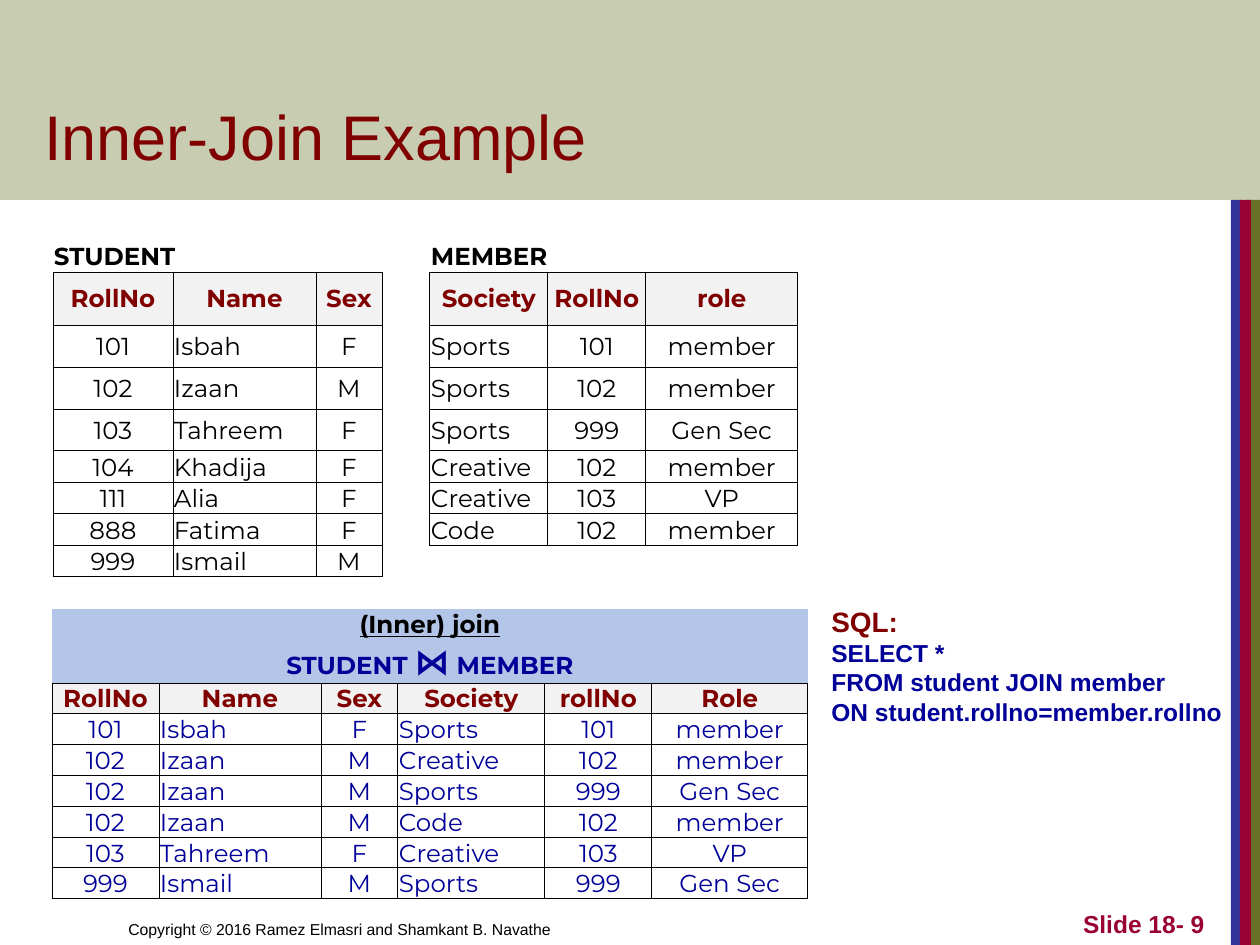
"""Build the inner-join example slide with its source and result tables."""
from lxml import etree
from pptx import Presentation
from pptx.dml.color import RGBColor
from pptx.enum.shapes import MSO_SHAPE
from pptx.enum.text import MSO_ANCHOR, PP_ALIGN
from pptx.oxml.ns import qn
from pptx.util import Emu, Pt

RECT = MSO_SHAPE.RECTANGLE
TOP, MIDDLE, BOTTOM = MSO_ANCHOR.TOP, MSO_ANCHOR.MIDDLE, MSO_ANCHOR.BOTTOM
LEFT, CENTER, RIGHT = PP_ALIGN.LEFT, PP_ALIGN.CENTER, PP_ALIGN.RIGHT

BLACK = RGBColor(0x00, 0x00, 0x00)
MAROON = RGBColor(0x80, 0x00, 0x00)
CRIMSON = RGBColor(0x99, 0x00, 0x33)
NAVY = RGBColor(0x00, 0x00, 0x99)
INDIGO = RGBColor(0x33, 0x33, 0x99)
OLIVE = RGBColor(0x67, 0x72, 0x28)
GREY = RGBColor(0xF2, 0xF2, 0xF2)
SKY = RGBColor(0xB4, 0xC6, 0xE7)

EMU_PER_PX = 914400 / 126
NO_GRID = "{2D5ABB26-0587-4C30-8999-92F81FD0307C}"
ALL_SIDES = "LRTB"

STUDENT = [
    ("RollNo", "Name", "Sex"),
    ("101", "Isbah", "F"),
    ("102", "Izaan", "M"),
    ("103", "Tahreem", "F"),
    ("104", "Khadija", "F"),
    ("111", "Alia", "F"),
    ("888", "Fatima", "F"),
    ("999", "Ismail", "M"),
]
MEMBER = [
    ("Society", "RollNo", "role"),
    ("Sports", "101", "member"),
    ("Sports", "102", "member"),
    ("Sports", "999", "Gen Sec"),
    ("Creative", "102", "member"),
    ("Creative", "103", "VP"),
    ("Code", "102", "member"),
]
JOINED = [
    ("RollNo", "Name", "Sex", "Society", "rollNo", "Role"),
    ("101", "Isbah", "F", "Sports", "101", "member"),
    ("102", "Izaan", "M", "Creative", "102", "member"),
    ("102", "Izaan", "M", "Sports", "999", "Gen Sec"),
    ("102", "Izaan", "M", "Code", "102", "member"),
    ("103", "Tahreem", "F", "Creative", "103", "VP"),
    ("999", "Ismail", "M", "Sports", "999", "Gen Sec"),
]


def px(n):
    return Emu(round(n * EMU_PER_PX))


class Deck:
    """Holds the style and the current slide."""

    font, table_font, table_size = "Arial", "Montserrat", 14

    def __init__(self, prs):
        self.s = prs.slides.add_slide(prs.slide_layouts[6])

    def run(self, p, text, size, color, bold=False, underline=False, font=None):
        r = p.add_run()
        r.text = text
        f = r.font
        f.name, f.size, f.bold = font or self.font, Pt(size), bold
        f.underline = underline
        f.color.rgb = color

    def bar(self, x, y, w, h, color, alpha=None):
        sp = self.s.shapes.add_shape(RECT, px(x), px(y), px(w), px(h))
        sp.shadow.inherit = False
        sp.line.fill.background()
        sp.fill.solid()
        sp.fill.fore_color.rgb = color
        if alpha:
            clr = sp.fill._xPr.find(qn("a:solidFill"))[0]
            etree.SubElement(clr, qn("a:alpha"), val=str(alpha * 1000))

    def text(self, x, y, w, h, lines, anchor=BOTTOM, align=LEFT):
        tf = self.s.shapes.add_textbox(px(x), px(y), px(w), px(h)).text_frame
        tf.word_wrap = True
        tf.vertical_anchor = anchor
        for i, line in enumerate(lines):
            p = tf.add_paragraph() if i else tf.paragraphs[0]
            p.alignment = align
            self.run(p, *line)

    def table(self, x, y, cols, rows):
        frame = self.s.shapes.add_table(len(rows), len(cols), px(x), px(y),
                                        px(sum(cols)), px(sum(rows)))
        table = frame.table
        table.first_row = table.horz_banding = False
        frame._element.find(".//" + qn("a:tableStyleId")).text = NO_GRID
        for col, w in zip(table.columns, cols):
            col.width = px(w)
        for row, h in zip(table.rows, rows):
            row.height = px(h)
        for cell in table.iter_cells():
            cell.margin_left = cell.margin_right = cell.margin_top = px(1)
            cell.margin_bottom = 0
            cell.fill.background()
            etree.SubElement(cell.text_frame.paragraphs[0]._p, qn("a:endParaRPr"),
                             sz=str(self.table_size * 100))
        return table

    def border(self, cell, sides):
        tcPr = cell._tc.get_or_add_tcPr()
        for i, side in enumerate(sides):
            ln = etree.Element(qn("a:ln" + side), w=str(Pt(0.5)))
            fill = etree.SubElement(ln, qn("a:solidFill"))
            etree.SubElement(fill, qn("a:srgbClr"), val=str(BLACK))
            tcPr.insert(i, ln)

    def cell(self, cell, runs, align=CENTER, anchor=MIDDLE, fill=None, sides=ALL_SIDES):
        cell.vertical_anchor = anchor
        p = cell.text_frame.paragraphs[0]
        p.alignment = align
        for text, color, *style in runs:
            size, bold, underline = style or (self.table_size, False, False)
            self.run(p, text, size, color, bold, underline, self.table_font)
        if fill:
            cell.fill.solid()
            cell.fill.fore_color.rgb = fill
        self.border(cell, sides)

    def banner(self, table, row, first, last, runs, align, fill=None, sides="B"):
        table.cell(row, first).merge(table.cell(row, last))
        self.cell(table.cell(row, first), runs, align, BOTTOM, fill, sides)

    def grid(self, table, top, left, data, color):
        for i, record in enumerate(data):
            for j, value in enumerate(record):
                target = table.cell(top + i, left + j)
                if i == 0:
                    self.cell(target, [(value, MAROON, 14, True, False)], fill=GREY)
                else:
                    named = data[0][j] in ("Name", "Society")
                    self.cell(target, [(value, color)], LEFT if named else CENTER)


def main():
    prs = Presentation()
    prs.slide_width, prs.slide_height = px(1260), px(945)
    deck = Deck(prs)

    for x, w, color in ((1246, 14, OLIVE), (1231, 11, INDIGO), (1240, 11, CRIMSON)):
        deck.bar(x, 200, w, 745, color)
    deck.bar(0, 0, 1260, 200, OLIVE, alpha=36)
    deck.text(116, 882, 620, 63,
              [("Copyright © 2016 Ramez Elmasri and Shamkant B. Navathe", 9, BLACK)])
    deck.text(32, 42, 1075, 137, [("Inner-Join Example", 36, MAROON)])
    deck.text(955, 882, 262, 63, [("Slide 18- 9", 14, CRIMSON, True)], align=RIGHT)

    source = deck.table(53, 220, [120, 143, 66, 48, 118, 98, 152, 93, 110, 140, 76],
                        [52, 53, 42, 42, 42, 32, 31, 32, 31])
    for left, name, data in ((0, "STUDENT", STUDENT), (4, "MEMBER", MEMBER)):
        deck.banner(source, 0, left, left + 2, [(name, BLACK, 14, True, False)], LEFT)
        deck.grid(source, 1, left, data, BLACK)
    for row, left in ((0, 8), (1, 8), (8, 4)):
        source.cell(row, left).merge(source.cell(row, left + 2))

    deck.text(819, 598, 431, 136, [
        ("SQL:", 16, MAROON, True),
        ("SELECT *", 14, NAVY, True),
        ("FROM student JOIN member", 14, NAVY, True),
        ("ON student.rollno=member.rollno", 14, NAVY, True),
    ], anchor=TOP)

    joined = deck.table(52, 609, [107, 162, 77, 147, 107, 156],
                        [31, 43, 30, 31, 31, 31, 31, 30, 31])
    deck.banner(joined, 0, 0, 5, [("(Inner) join", BLACK, 14, True, True)],
                CENTER, SKY, sides="")
    deck.banner(joined, 1, 0, 5, [("STUDENT ", NAVY, 14, True, False),
                                  ("⋈", NAVY, 20, True, False),
                                  (" MEMBER", NAVY, 14, True, False)], CENTER, SKY)
    deck.grid(joined, 2, 0, JOINED, NAVY)

    prs.save("out.pptx")


if __name__ == "__main__":
    main()
